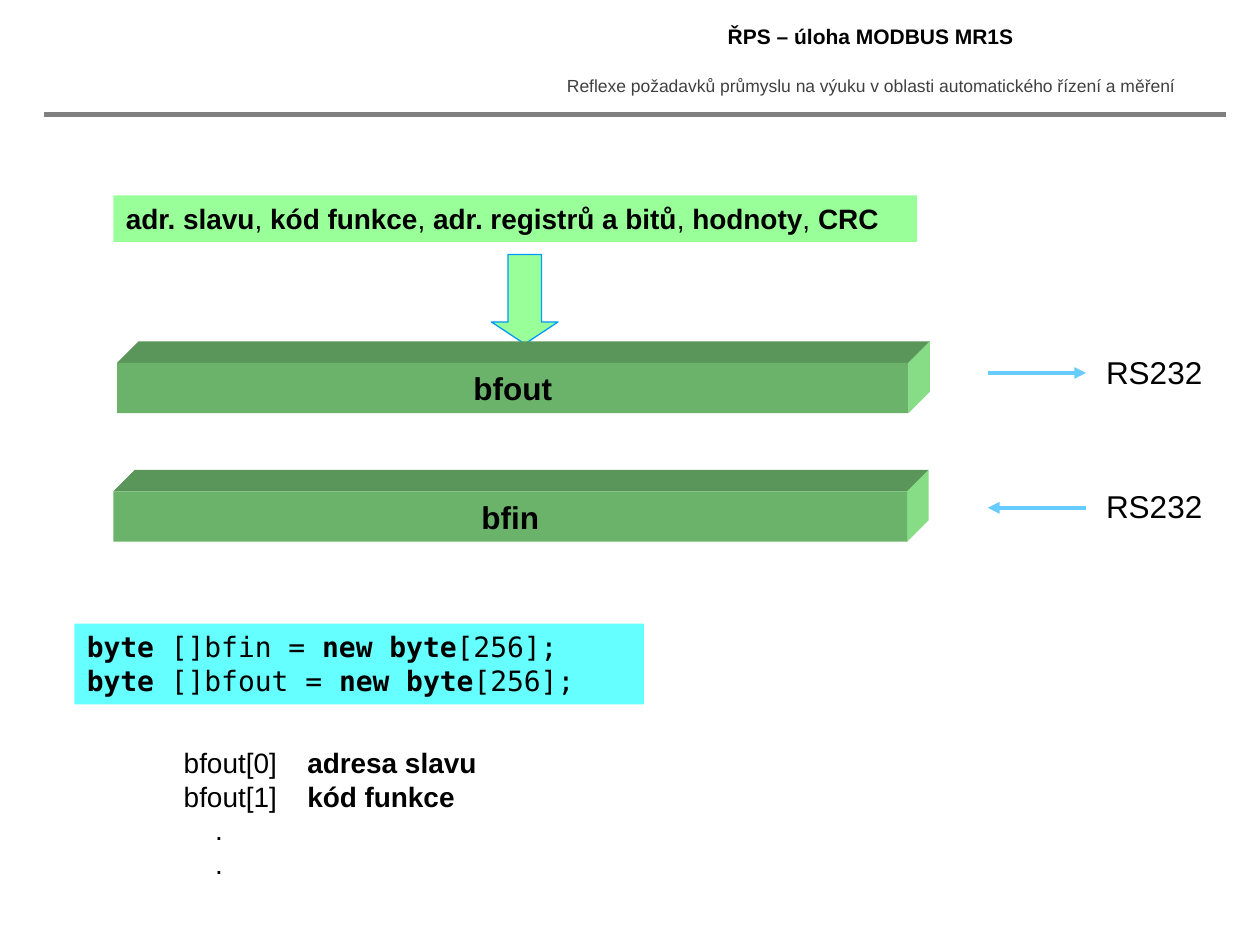
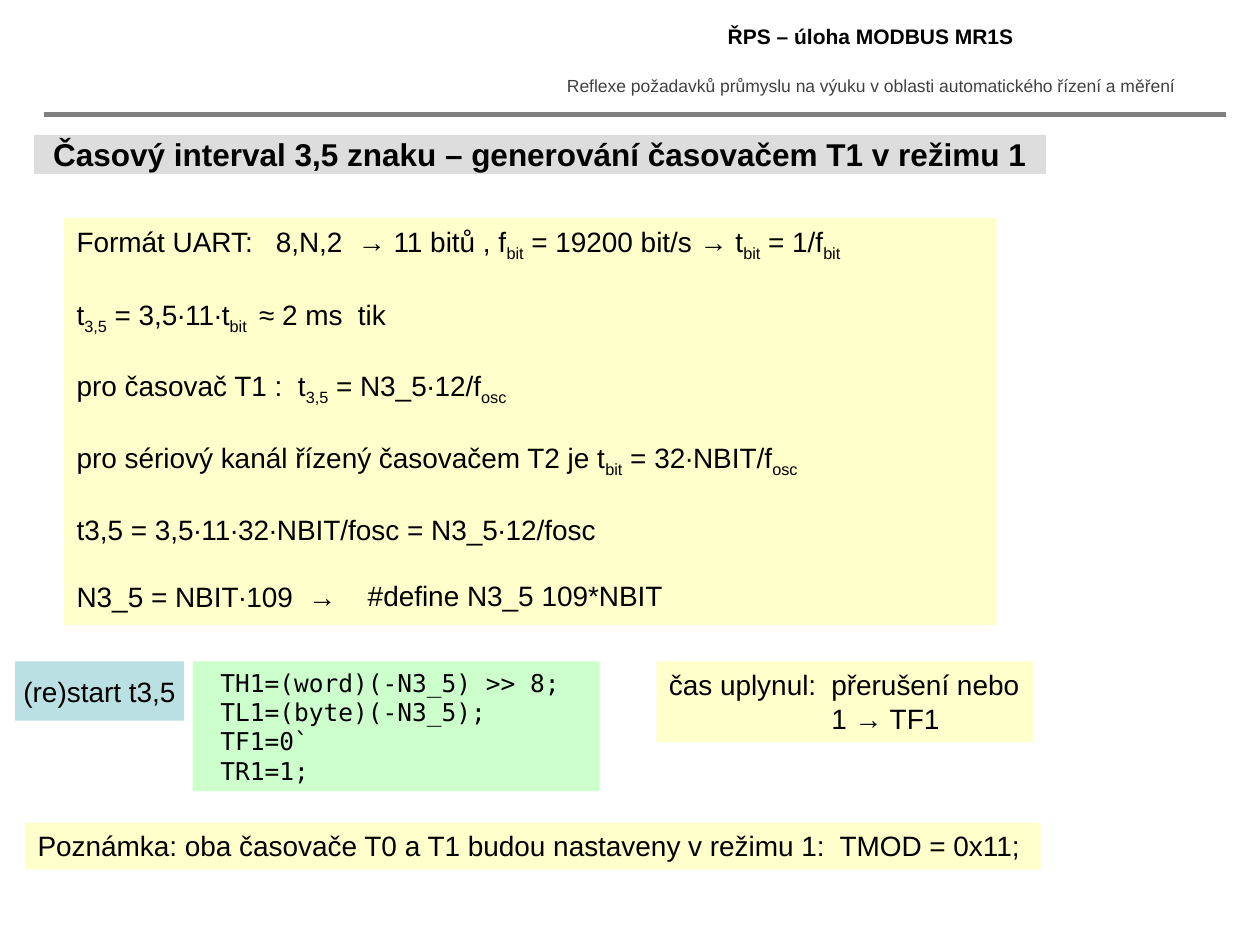
from lxml import etree
from pptx import Presentation
from pptx import util as u
from pptx.dml.color import RGBColor
from pptx.enum import shapes, text
from pptx.oxml import ns

SANS, MONO = "Arial", "DejaVu Sans Mono"
BLACK, DARK_GREY, GREY, LIGHT_GREY = "000000", "404040", "808080", "DDDDDD"
GREEN, PALE_GREEN, YELLOW = "99FF99", "CCFFCC", "FFFFCC"
CYAN, TEAL, SKY, BLUE = "66FFFF", "BBE0E3", "66CCFF", "0099FF"
BAR_FRONT, BAR_TOP, BAR_SIDE = "6BB36B", "5A955A", "86DD86"
DEPTH = 0.17
LEFT, CENTER = text.PP_ALIGN.LEFT, text.PP_ALIGN.CENTER


def color(value):
    """Turn a hex string into a colour."""
    return RGBColor.from_string(value)


def paint(shape, fill):
    """Give a shape a flat fill without outline or shadow."""
    shape.shadow.inherit = False
    shape.fill.solid()
    shape.fill.fore_color.rgb = color(fill)
    shape.line.fill.background()


def indent(para, left):
    """Set the left indent of a paragraph."""
    props = para._p.get_or_add_pPr()
    props.set("marL", str(u.Inches(left)))
    props.set("indent", "0")


def write(shape, lines, size, bold=False, font=SANS, ink=BLACK, align=LEFT,
          anchor=text.MSO_ANCHOR.TOP, gap=0, subscript=False):
    """Write lines; the pieces between bars are bold or subscript."""
    frame = shape.text_frame
    frame.word_wrap = True
    frame.auto_size = text.MSO_AUTO_SIZE.NONE
    frame.vertical_anchor = anchor
    frame.margin_left = u.Inches(0.1 if align == LEFT else 0)
    frame.margin_right = 0
    for number, line in enumerate(lines):
        para = frame.add_paragraph() if number else frame.paragraphs[0]
        para.alignment = align
        para.space_before = u.Pt(gap if number else 0)
        para.font.name, para.font.size, para.font.bold = font, u.Pt(size), bold
        para.font.color.rgb = color(ink)
        for index, piece in enumerate(line.split("|")):
            if not piece:
                continue
            span = para.add_run()
            span.text = piece
            if index % 2 and subscript:
                span._r.get_or_add_rPr().set("baseline", "-25000")
            elif index % 2:
                span.font.bold = True
    return frame.paragraphs


def add_label(page, box, lines, size, **style):
    """Add a plain text box."""
    shape = page.shapes.add_textbox(*map(u.Inches, box))
    return write(shape, lines, size, **style)


def add_panel(page, box, fill, lines, size, **style):
    """Add a filled rectangle with text."""
    shape = page.shapes.add_shape(shapes.MSO_SHAPE.RECTANGLE, *map(u.Inches, box))
    paint(shape, fill)
    return write(shape, lines, size, **style)


def add_line(page, start, end, ink, width, arrow=False):
    """Add a straight line, optionally with an arrowhead at its end."""
    line = page.shapes.add_connector(
        shapes.MSO_CONNECTOR.STRAIGHT, *map(u.Inches, (*start, *end)))
    line.line.color.rgb = color(ink)
    line.line.width = u.Pt(width)
    if arrow:
        etree.SubElement(line.line._get_or_add_ln(), ns.qn("a:tailEnd"), type="triangle")
    etree.SubElement(line._element.spPr, ns.qn("a:effectLst"))


def add_face(page, points, fill):
    """Add a filled polygon."""
    corners = [(u.Inches(x), u.Inches(y)) for x, y in points]
    builder = page.shapes.build_freeform(*corners[0])
    builder.add_line_segments(corners[1:], close=True)
    paint(builder.convert_to_shape(), fill)


def add_header(page):
    """Add the course name, the subtitle and the rule shared by the slides."""
    left, width = 4.3, 5.22
    add_label(page, (left, 0.55, width, 0.27),
              ["Reflexe požadavků průmyslu na výuku v oblasti automatického řízení a měření"],
              10, ink=DARK_GREY, align=CENTER)
    add_label(page, (left, 0.14, width, 0.31), ["ŘPS – úloha MODBUS MR1S"],
              12, bold=True, align=CENTER)
    add_line(page, (0.35, 0.91), (9.73, 0.91), GREY, 3)


def add_buffer(page, box, name):
    """Add a buffer as a solid bar."""
    left, top, width, height = box
    right, bottom = left + width, top + height
    back, roof = right + DEPTH, top - DEPTH
    add_face(page, [(left, top), (left + DEPTH, roof), (back, roof), (right, top)], BAR_TOP)
    add_face(page, [(right, top), (back, roof), (back, bottom - DEPTH), (right, bottom)],
             BAR_SIDE)
    add_panel(page, box, BAR_FRONT, [name], 18, bold=True, align=CENTER)


def add_port(page, box, sending):
    """Add a serial port label with its arrow on the left."""
    left, top, width, height = box
    middle = top + 0.21
    ends = [(left, middle), (left + 0.78, middle)]
    start, end = ends if sending else reversed(ends)
    add_line(page, start, end, SKY, 2.25, arrow=True)
    add_label(page, (left + 0.84, top, width - 0.84, height), ["RS232"], 18)


def add_frame_contents(page, box):
    """Add the list of frame fields with the arrow into the output buffer."""
    left, top, width, height = box
    add_panel(page, box, GREEN,
              ["|adr. slavu|, |kód funkce|, |adr. registrů a bitů|, |hodnoty|, |CRC|"], 16)
    arrow = page.shapes.add_shape(
        shapes.MSO_SHAPE.DOWN_ARROW,
        *map(u.Inches, (left + 3, top + height + 0.1, 0.53, 0.71)))
    paint(arrow, GREEN)
    arrow.adjustments[1] = 0.33
    arrow.line.color.rgb = color(BLUE)
    arrow.line.width = u.Pt(0.75)


def add_declarations(page, box):
    """Add the buffer declarations and the meaning of the first bytes."""
    left, top, width, height = box
    add_panel(page, box, CYAN, ["|byte| []bfin = |new byte|[256];",
                                "|byte| []bfout = |new byte|[256];"], 16, font=MONO)
    list_left, list_top = left + 0.77, top + height + 0.28
    rows = add_label(page, (list_left, list_top, 0.98, 1.18),
                     ["bfout[0]", "bfout[1]", ".", "."], 16)
    for row in rows[2:]:
        indent(row, 0.25)
    add_label(page, (list_left + 0.98, list_top, 1.58, 0.64),
              ["adresa slavu", "kód funkce"], 16, bold=True)


def add_title(page, box, title):
    """Move and format the title placeholder as a grey band."""
    shape = page.shapes.title
    shape.left, shape.top, shape.width, shape.height = map(u.Inches, box)
    paint(shape, LIGHT_GREY)
    write(shape, [title], 18, bold=True, align=CENTER, anchor=text.MSO_ANCHOR.MIDDLE)


def add_formulas(page, box):
    """Add the derivation of the timer constant."""
    left, top, width, height = box
    lines = [
        "Formát UART:",
        "t|3,5| = 3,5∙11∙t|bit | ≈ 2 ms  tik",
        "pro časovač T1 :  t|3,5| = N3_5∙12/f|osc|",
        "pro sériový kanál řízený časovačem T2 je t|bit| = 32∙NBIT/f|osc|",
        "t3,5 = 3,5∙11∙32∙NBIT/fosc = N3_5∙12/fosc",
        "N3_5 = NBIT∙109  →",
    ]
    rows = add_panel(page, box, YELLOW, lines, 16, gap=19.2, subscript=True)
    rows[1].space_before = u.Pt(22.5)
    add_label(page, (left + 1.58, top, width - 1.58, 0.4),
              ["8,N,2  → 11 bitů , f|bit| = 19200 bit/s → t|bit| = 1/f|bit|"], 16,
              subscript=True)
    add_label(page, (left + 2.31, top + 2.81, width - 2.31, 0.4),
              ["#define N3_5 109*NBIT"], 16)


def add_restart(page, box):
    """Add the timer restart code and the event that ends the interval."""
    left, top, width, height = box
    add_panel(page, (left, top, 1.34, 0.47), TEAL, ["(re)start t3,5"], 16,
              align=CENTER, anchor=text.MSO_ANCHOR.MIDDLE)
    code = ["TH1=(word)(-N3_5) >> 8;", "TL1=(byte)(-N3_5);", "TF1=0`", "TR1=1;"]
    for row in add_panel(page, (left + 1.41, top, 3.23, height), PALE_GREEN, code, 14,
                         font=MONO):
        indent(row, 0.12)
    event_width, event_height, cause = 2.99, 0.64, 1.29
    event_left = left + width - event_width
    add_panel(page, (event_left, top, event_width, event_height), YELLOW,
              ["čas uplynul:"], 16)
    add_label(page, (event_left + cause, top, event_width - cause, event_height),
              ["přerušení nebo", "1 → TF1"], 16)


def build_buffers(deck):
    """Build the slide about the message buffers."""
    page = deck.slides.add_slide(deck.slide_layouts[6])
    add_header(page)
    add_frame_contents(page, (0.9, 1.55, 6.38, 0.37))
    add_buffer(page, (0.93, 2.88, 6.28, 0.4), "bfout")
    add_port(page, (7.84, 2.75, 1.81, 0.4), sending=True)
    add_buffer(page, (0.9, 3.9, 6.3, 0.4), "bfin")
    add_port(page, (7.84, 3.82, 1.81, 0.4), sending=False)
    add_declarations(page, (0.59, 4.95, 4.52, 0.64))


def build_timer(deck):
    """Build the slide about the timer interval."""
    page = deck.slides.add_slide(deck.slide_layouts[5])
    add_header(page)
    add_title(page, (0.27, 1.07, 8.03, 0.31),
              "Časový interval 3,5 znaku – generování časovačem T1 v režimu 1")
    add_formulas(page, (0.51, 1.73, 7.4, 3.23))
    add_restart(page, (0.12, 5.25, 8.08, 1.03))
    add_panel(page, (0.2, 6.53, 8.06, 0.37), YELLOW,
              ["Poznámka: oba časovače T0 a T1 budou nastaveny v režimu 1:  TMOD = 0x11;"], 16)


def main():
    """Build and save the deck."""
    deck = Presentation()
    deck.slide_width, deck.slide_height = u.Inches(10), u.Inches(7.5)
    build_buffers(deck)
    build_timer(deck)
    deck.save("out.pptx")


if __name__ == "__main__":
    main()
